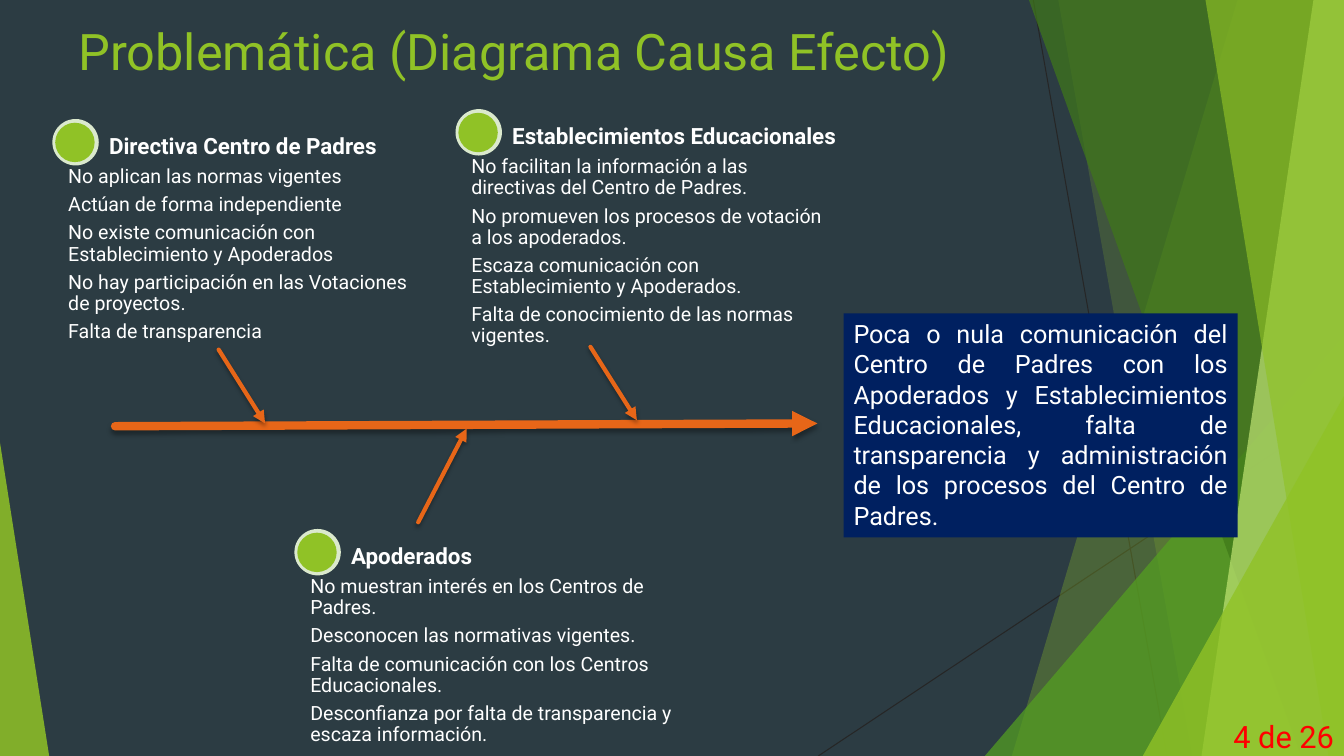
"""Build the cause-and-effect slide about parent centre communication."""
from lxml import etree
from pptx import Presentation
from pptx.dml.color import RGBColor
from pptx.enum.shapes import MSO_CONNECTOR, MSO_SHAPE
from pptx.enum.text import MSO_ANCHOR, PP_ALIGN
from pptx.oxml.ns import qn
from pptx.util import Cm, Pt

STRAIGHT = MSO_CONNECTOR.STRAIGHT
RECTANGLE, ELLIPSE, CHORD = MSO_SHAPE.RECTANGLE, MSO_SHAPE.OVAL, MSO_SHAPE.CHORD
TRIANGLE = MSO_SHAPE.ISOSCELES_TRIANGLE
TOP, MIDDLE, BOTTOM = MSO_ANCHOR.TOP, MSO_ANCHOR.MIDDLE, MSO_ANCHOR.BOTTOM
LEFT, RIGHT, JUSTIFY = PP_ALIGN.LEFT, PP_ALIGN.RIGHT, PP_ALIGN.JUSTIFY

FONT = "Roboto"
WIDTH, HEIGHT = 33.87, 19.05
COLORS = {
    "background": "2C3C43", "hairline": "262626", "lime": "90C226",
    "green": "54A021", "forest": "3F7819", "pale": "C0E474",
    "ring": "DBE9CD", "arrow": "E76618", "effect": "002060",
    "text": "FFFFFF", "page": "FF0000", "shadow": "000000",
}
FACETS_BACK = [(31.19, 25.5, "lime", 30), (26.67, 30.05, "lime", 20)]
FACETS_FRONT = [(25.93, 32.79, "forest", 70), (33.1, 30.28, "pale", 70),
                (30.38, 33.48, "lime", 65)]
CAUSES = [
    (1.32, 3.0, "Directiva Centro de Padres", [
        "No aplican las normas vigentes",
        "Actúan de forma independiente",
        "No existe comunicación con Establecimiento y Apoderados",
        "No hay participación en las Votaciones de proyectos.",
        "Falta de transparencia"]),
    (11.48, 2.75, "Establecimientos Educacionales", [
        "No facilitan la información a las directivas del Centro de Padres.",
        "No promueven los procesos de votación a los apoderados.",
        "Escaza comunicación con Establecimiento y Apoderados.",
        "Falta de conocimiento de las normas vigentes."]),
    (7.42, 13.33, "Apoderados", [
        "No muestran interés en los Centros de Padres.",
        "Desconocen las normativas vigentes.",
        "Falta de comunicación con los Centros Educacionales.",
        "Desconfianza por falta de transparencia y escaza información."]),
]
EFFECT = ("Poca o nula comunicación del Centro de Padres con los Apoderados y "
          "Establecimientos Educacionales, falta de transparencia y "
          "administración de los procesos del Centro de Padres.")
BRANCHES = [(5.51, 8.81, 6.68, 10.67), (14.88, 8.74, 16.05, 10.59),
            (10.54, 13.16, 11.76, 10.8)]


def rgb(name):
    """Return the named colour."""
    return RGBColor.from_string(COLORS[name])


def paint(shape, color, opacity=100):
    """Give a shape a flat fill without line or shadow."""
    shape.shadow.inherit = False
    shape.fill.solid()
    shape.fill.fore_color.rgb = rgb(color)
    shape.line.fill.background()
    if opacity < 100:
        tint = shape.element.spPr.find(".//" + qn("a:srgbClr"))
        etree.SubElement(tint, qn("a:alpha"), val=str(opacity * 1000))


def add_facet(slide, top_x, bottom_x, color, opacity):
    """Draw a translucent band from a slanted edge to the right side."""
    builder = slide.shapes.build_freeform(Cm(top_x), 0)
    builder.add_line_segments([(Cm(WIDTH), 0), (Cm(WIDTH), Cm(HEIGHT)),
                               (Cm(bottom_x), Cm(HEIGHT))])
    paint(builder.convert_to_shape(), color, opacity)


def add_shape(slide, kind, x, y, width, height, color, opacity=100):
    """Draw a flat preset shape."""
    shape = slide.shapes.add_shape(kind, Cm(x), Cm(y), Cm(width), Cm(height))
    paint(shape, color, opacity)
    return shape


def add_corner(slide, x, y, width, apex, color, opacity):
    """Draw a triangle standing on the bottom edge."""
    corner = add_shape(slide, TRIANGLE, x, y, width, HEIGHT - y, color, opacity)
    corner.adjustments[0] = apex


def add_line(slide, ends, color, weight):
    """Draw a straight line with an empty effect list."""
    line = slide.shapes.add_connector(STRAIGHT, *[Cm(end) for end in ends])
    line.line.color.rgb = rgb(color)
    line.line.width = Pt(weight)
    return line, etree.SubElement(line.element.spPr, qn("a:effectLst"))


def add_arrow(slide, ends, weight):
    """Draw a round-capped arrow with a soft shadow."""
    arrow, effects = add_line(slide, ends, "arrow", weight)
    stroke = arrow.line._get_or_add_ln()
    stroke.set("cap", "rnd")
    etree.SubElement(stroke, qn("a:round"))
    etree.SubElement(stroke, qn("a:tailEnd"), type="triangle")
    shadow = etree.SubElement(effects, qn("a:outerShdw"), blurRad=str(Pt(3)),
                              dist=str(Pt(2)), dir="5400000", rotWithShape="0")
    shade = etree.SubElement(shadow, qn("a:srgbClr"), val=COLORS["shadow"])
    etree.SubElement(shade, qn("a:alpha"), val="35000")


def write(shape, paragraphs, size, color="text", bold=False, align=LEFT,
          anchor=TOP, inset=None, line_spacing=None, space_after=0):
    """Fill a shape with paragraphs of one style."""
    frame = shape.text_frame
    frame.word_wrap = True
    frame.vertical_anchor = anchor
    if inset is not None:
        frame.margin_left = frame.margin_right = Cm(inset)
        frame.margin_top = frame.margin_bottom = Cm(inset)
    frame.text = "\n".join(paragraphs)
    for paragraph in frame.paragraphs:
        paragraph.alignment = align
        paragraph.line_spacing = line_spacing
        paragraph.space_after = Pt(space_after)
        paragraph.font.name = FONT
        paragraph.font.size = Pt(size)
        paragraph.font.bold = bold
        paragraph.font.color.rgb = rgb(color)


def add_text(slide, x, y, width, height, paragraphs, size, **style):
    """Add a text box."""
    box = slide.shapes.add_textbox(Cm(x), Cm(y), Cm(width), Cm(height))
    write(box, paragraphs, size, **style)


def add_cause(slide, x, y, heading, points):
    """Add a cause: round marker, points and heading."""
    add_shape(slide, ELLIPSE, x, y, 1.17, 1.17, "ring")
    core = add_shape(slide, CHORD, x + 0.1, y + 0.12, 0.94, 0.94, "lime")
    core.adjustments[0] = core.adjustments[1] = 162
    core.line.color.rgb = rgb("lime")
    core.line.width = Pt(1.5)
    add_text(slide, x + 0.3, y + 1.1, 9.37, 4.6, points, 14,
             inset=0.1, line_spacing=0.9, space_after=5)
    add_text(slide, x + 1.33, y - 0.06, 8.69, 1.17, [heading], 16, bold=True,
             anchor=BOTTOM, inset=0.1, line_spacing=0.9)


def add_backdrop(slide):
    """Draw the background and its green facets."""
    slide.background.fill.solid()
    slide.background.fill.fore_color.rgb = rgb("background")
    add_line(slide, (26.04, 0, 29.41, HEIGHT), "hairline", 0.75)
    add_line(slide, (WIDTH, 10.24, 20.62, HEIGHT), "hairline", 0.75)
    for facet in FACETS_BACK:
        add_facet(slide, *facet)
    add_corner(slide, 24.82, 8.46, 9.05, 1, "green", 72)
    for facet in FACETS_FRONT:
        add_facet(slide, *facet)
    add_corner(slide, 28.8, 9.98, 5.07, 1, "lime", 80)
    add_corner(slide, 0, 11.15, 1.24, 0, "lime", 85)


def main():
    """Build and save the presentation."""
    deck = Presentation()
    deck.slide_width, deck.slide_height = Cm(WIDTH), Cm(HEIGHT)
    slide = deck.slides.add_slide(deck.slide_layouts[6])
    add_backdrop(slide)
    add_text(slide, 1.73, 0.38, 23.88, 2.31,
             ["Problemática (Diagrama Causa Efecto)"], 36, color="lime")
    for cause in CAUSES:
        add_cause(slide, *cause)
    add_arrow(slide, (2.9, 10.74, 20.6, 10.67), 6)
    effect = add_shape(slide, RECTANGLE, 21.26, 7.9, 9.93, 5.64, "effect")
    write(effect, [EFFECT], 18, align=JUSTIFY)
    for branch in BRANCHES:
        add_arrow(slide, branch, 3)
    add_text(slide, 28.92, 18.03, 4.95, 1.02, ["4 de 26"], 22, color="page",
             align=RIGHT, anchor=MIDDLE)
    deck.save("out.pptx")


if __name__ == "__main__":
    main()
